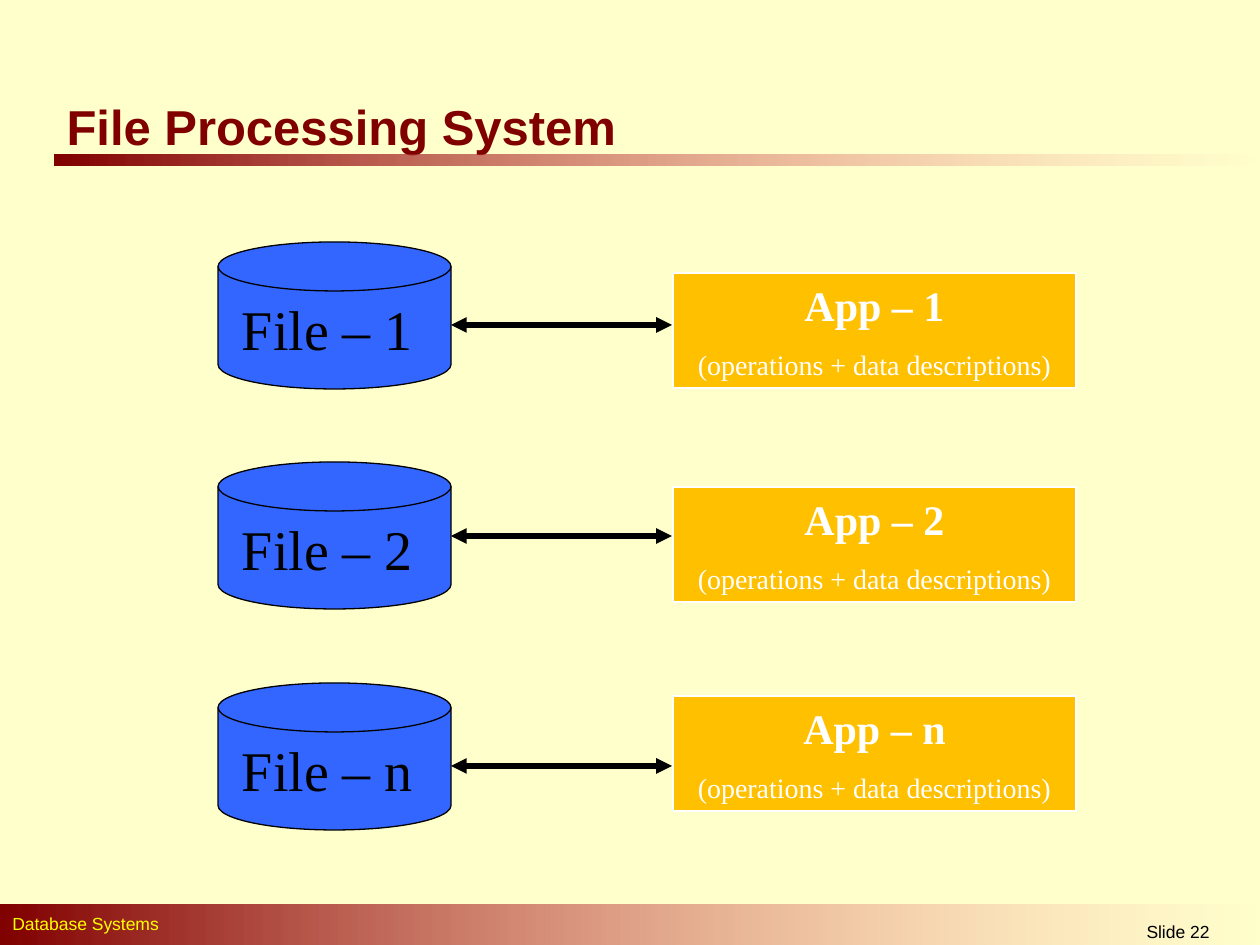
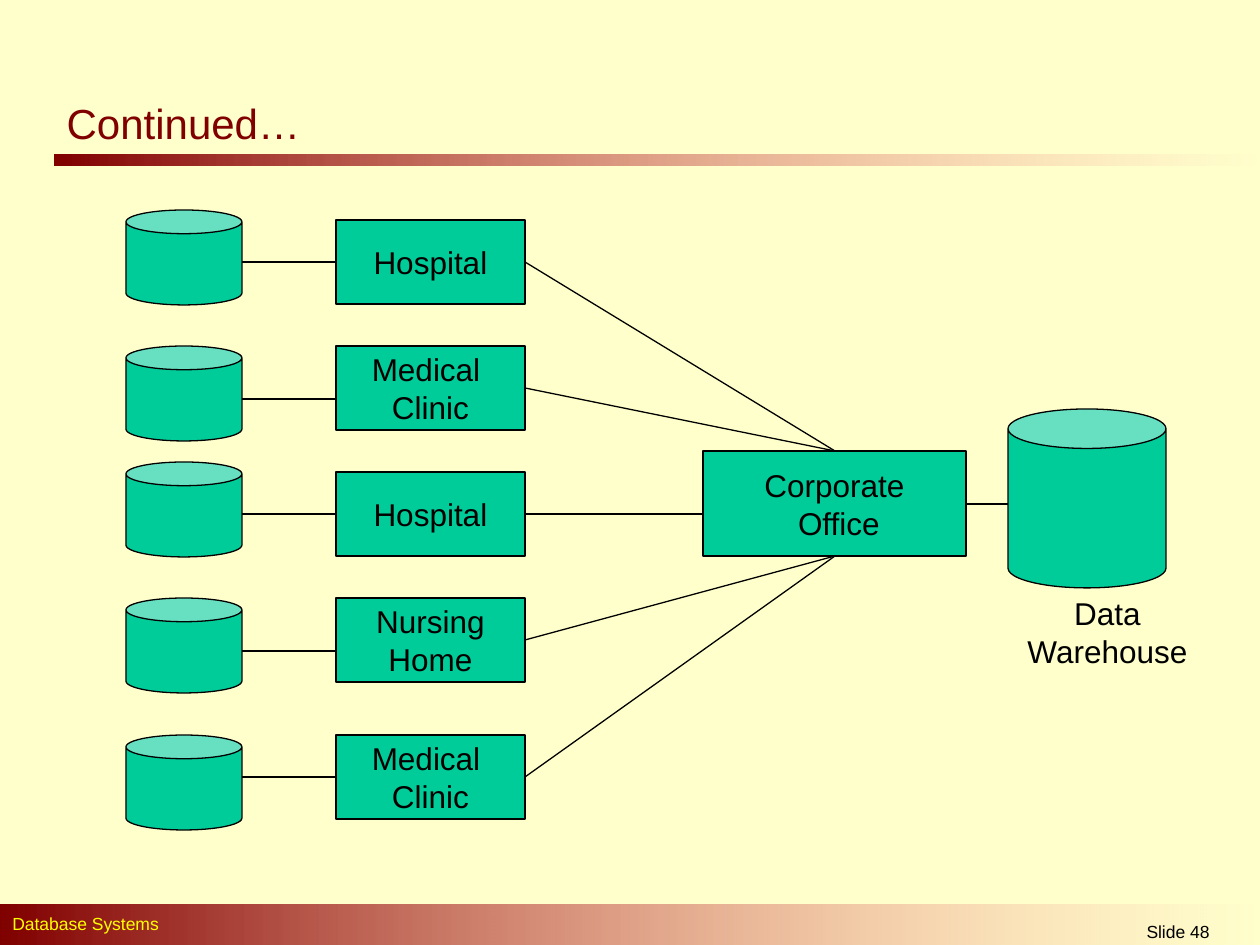
from typing import NamedTuple, Optional

import lxml.etree
import pptx
import pptx.dml.color
import pptx.enum.shapes
import pptx.enum.text
import pptx.oxml.ns
import pptx.util

PX = 914400 / 126
COLORS = {
    "page": "FFFFCC",
    "maroon": "800000",
    "fade": "FF8585",
    "footer": "FFFF00",
    "ink": "000000",
    "white": "FFFFFF",
    "file": "3366FF",
    "app": "FFC000",
    "site": "00CC99",
}
SANS, SERIF = "Arial", "Times New Roman"
SHAPE = pptx.enum.shapes.MSO_SHAPE
ALIGN = pptx.enum.text.PP_ALIGN
ANCHOR = pptx.enum.text.MSO_ANCHOR


class Box(NamedTuple):
    left: int
    top: int
    width: int
    height: int


class TextLine(NamedTuple):
    text: str
    size: int = 18
    font: str = SANS
    color: str = "ink"
    bold: bool = False
    align: ALIGN = ALIGN.CENTER
    before: int = 0


class FileRow(NamedTuple):
    name: str
    file_top: int
    app_top: int
    arrow_y: int


class Branch(NamedTuple):
    lines: tuple[str, ...]
    store_top: int
    office_top: int
    link_y: int
    hub_x: int
    hub_y: int


FILE_ROWS = [
    FileRow("1", 242, 273, 325),
    FileRow("2", 462, 487, 536),
    FileRow("n", 683, 696, 766),
]
HUB = Box(703, 451, 263, 105)
HUB_X = HUB.left + HUB.width // 2 + 1
HUB_BOTTOM = HUB.top + HUB.height
BRANCHES = [
    Branch(("Hospital",), 210, 220, 262, HUB_X, HUB.top),
    Branch(("Medical ", "Clinic"), 346, 346, 399, HUB_X, HUB.top),
    Branch(("Hospital",), 462, 472, 514, HUB.left, 514),
    Branch(("Nursing", "Home"), 598, 598, 651, HUB_X, HUB_BOTTOM),
    Branch(("Medical ", "Clinic"), 735, 735, 777, HUB_X, HUB_BOTTOM),
]


def px(n: int) -> pptx.util.Emu:
    return pptx.util.Emu(round(n * PX))


def rgb(name: str) -> pptx.dml.color.RGBColor:
    return pptx.dml.color.RGBColor.from_string(COLORS[name])


def emus(box: Box) -> list[pptx.util.Emu]:
    return [px(n) for n in box]


def add_xml(parent, tag: str, **attrs: str) -> None:
    lxml.etree.SubElement(parent, pptx.oxml.ns.qn(tag), attrs)


def write(sp, lines: list[TextLine], anchor: ANCHOR, wrap: bool) -> None:
    tf = sp.text_frame
    tf.auto_size = pptx.enum.text.MSO_AUTO_SIZE.NONE
    tf.word_wrap = wrap
    tf.vertical_anchor = anchor
    tf.margin_left = tf.margin_right = pptx.util.Inches(0.1)
    tf.margin_top = tf.margin_bottom = pptx.util.Inches(0.05)
    for i, line in enumerate(lines):
        p = tf.add_paragraph() if i else tf.paragraphs[0]
        p.text = line.text
        p.alignment = line.align
        p.space_before = pptx.util.Pt(line.before)
        p.font.name = line.font
        p.font.size = pptx.util.Pt(line.size)
        p.font.bold = line.bold
        p.font.color.rgb = rgb(line.color)


def add_text(s, box: Box, line: TextLine) -> None:
    write(s.shapes.add_textbox(*emus(box)), [line], ANCHOR.TOP, True)


def add_node(s, kind: SHAPE, box: Box, fill: str,
             lines: Optional[list[TextLine]] = None, line_color: str = "ink",
             anchor: ANCHOR = ANCHOR.MIDDLE, wrap: bool = False) -> None:
    sp = s.shapes.add_shape(kind, *emus(box))
    sp.shadow.inherit = False
    sp.fill.solid()
    sp.fill.fore_color.rgb = rgb(fill)
    sp.line.color.rgb = rgb(line_color)
    sp.line.width = pptx.util.Pt(0.75)
    if lines:
        write(sp, lines, anchor, wrap)


def add_band(s, box: Box) -> None:
    """Draw a bar that fades out to the right."""
    sp = s.shapes.add_shape(SHAPE.RECTANGLE, *emus(box))
    sp.shadow.inherit = False
    sp.line.fill.background()
    sp.fill.gradient()
    sp.fill.gradient_angle = 0
    for stop, color in zip(sp.fill.gradient_stops, ("maroon", "fade")):
        stop.color.rgb = rgb(color)
    stops = list(sp.element.spPr.iter(pptx.oxml.ns.qn("a:srgbClr")))
    add_xml(stops[-1], "a:alpha", val="0")


def add_link(s, x1: int, y1: int, x2: int, y2: int,
             width: float = 0.75, arrows: bool = False) -> None:
    sp = s.shapes.add_connector(pptx.enum.shapes.MSO_CONNECTOR.STRAIGHT,
                                px(x1), px(y1), px(x2), px(y2))
    sp.line.color.rgb = rgb("ink")
    sp.line.width = pptx.util.Pt(width)
    spPr = sp.element.spPr
    if arrows:
        ln = spPr.find(pptx.oxml.ns.qn("a:ln"))
        add_xml(ln, "a:headEnd", type="triangle")
        add_xml(ln, "a:tailEnd", type="triangle")
    add_xml(spPr, "a:effectLst")


def add_slide(prs, title: TextLine, title_box: Box, number: int):
    """Add a slide with its title, bands and footer."""
    s = prs.slides.add_slide(prs.slide_layouts.get_by_name("Title Only"))
    add_band(s, Box(54, 155, 1206, 11))
    add_band(s, Box(0, 905, 1260, 40))
    add_text(s, Box(0, 907, 809, 34),
             TextLine("Database Systems", 10, color="footer", align=ALIGN.LEFT))
    add_text(s, Box(1098, 915, 160, 30), TextLine(f"Slide {number}", 10))
    sp = s.shapes.title
    sp.left, sp.top, sp.width, sp.height = emus(title_box)
    write(sp, [title], ANCHOR.MIDDLE, True)
    return s


def build_file_processing(prs) -> None:
    title = TextLine("File Processing System", 28, color="maroon", bold=True,
                     align=ALIGN.LEFT)
    s = add_slide(prs, title, Box(54, 86, 599, 79), 22)
    for row in FILE_ROWS:
        add_node(s, SHAPE.FLOWCHART_MAGNETIC_DISK,
                 Box(218, row.file_top, 233, 147), "file",
                 [TextLine(f"File – {row.name} ", 32, SERIF)])
        add_node(s, SHAPE.RECTANGLE, Box(673, row.app_top, 403, 115), "app",
                 [TextLine(f"App – {row.name}", 24, SERIF, "white", True),
                  TextLine("(operations + data descriptions)", 16, SERIF,
                           "white", before=10)],
                 line_color="white", anchor=ANCHOR.TOP, wrap=True)
        add_link(s, 451, row.arrow_y, 672, row.arrow_y, 3, arrows=True)


def build_warehouse(prs) -> None:
    title = TextLine("Continued…", 24, color="maroon", align=ALIGN.LEFT)
    s = add_slide(prs, title, Box(54, 86, 336, 73), 48)
    add_node(s, SHAPE.CAN, Box(1008, 409, 158, 179), "site")
    add_node(s, SHAPE.RECTANGLE, HUB, "site",
             [TextLine("Corporate"), TextLine(" Office")])
    add_link(s, HUB.left + HUB.width, 504, 1008, 504)
    for b in BRANCHES:
        store = Box(126, b.store_top, 116, 95)
        office = Box(336, b.office_top, 189, 84)
        add_node(s, SHAPE.CAN, store, "site")
        add_node(s, SHAPE.RECTANGLE, office, "site",
                 [TextLine(text) for text in b.lines])
        add_link(s, store.left + store.width, b.link_y, office.left, b.link_y)
        add_link(s, office.left + office.width, office.top + office.height // 2,
                 b.hub_x, b.hub_y)
    add_text(s, Box(1008, 588, 199, 88), TextLine("Data Warehouse"))


def main() -> None:
    prs = pptx.Presentation()
    prs.slide_width, prs.slide_height = px(1260), px(945)
    fill = prs.slide_master.background.fill
    fill.solid()
    fill.fore_color.rgb = rgb("page")
    build_file_processing(prs)
    build_warehouse(prs)
    prs.save("out.pptx")


if __name__ == "__main__":
    main()
